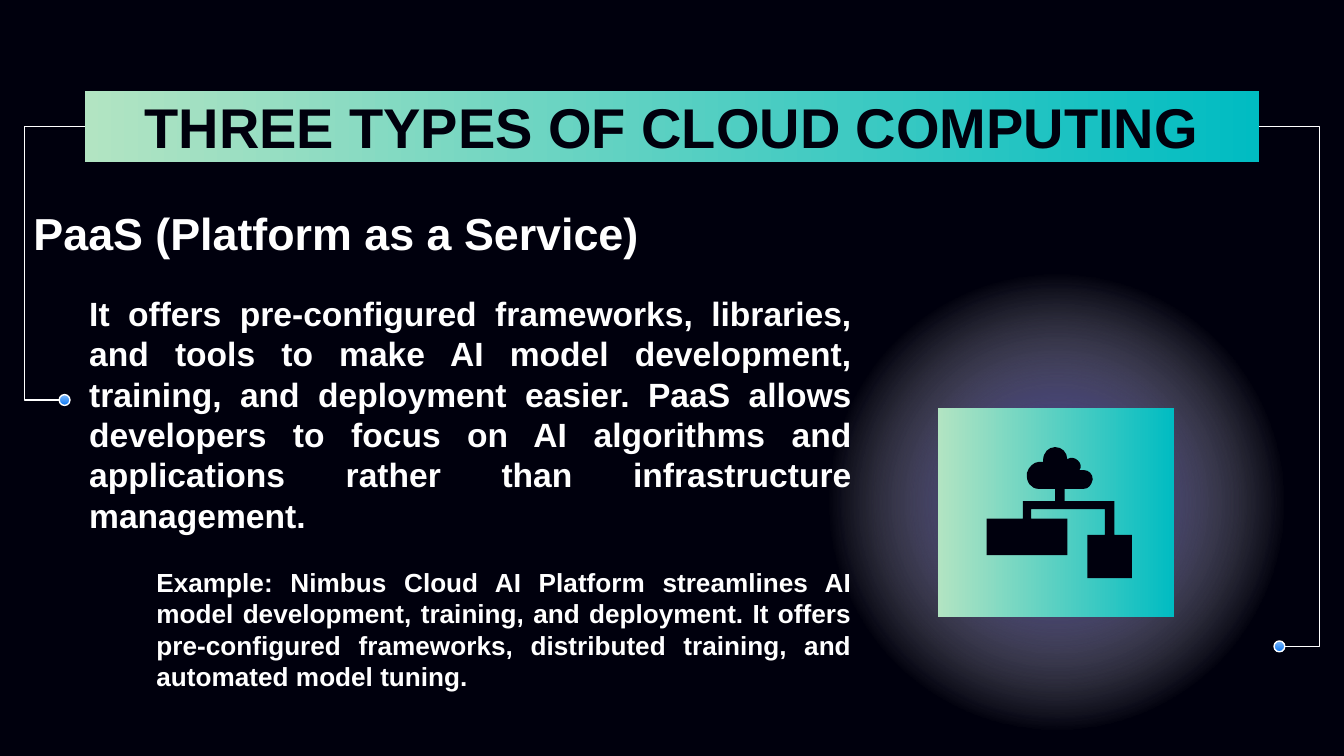
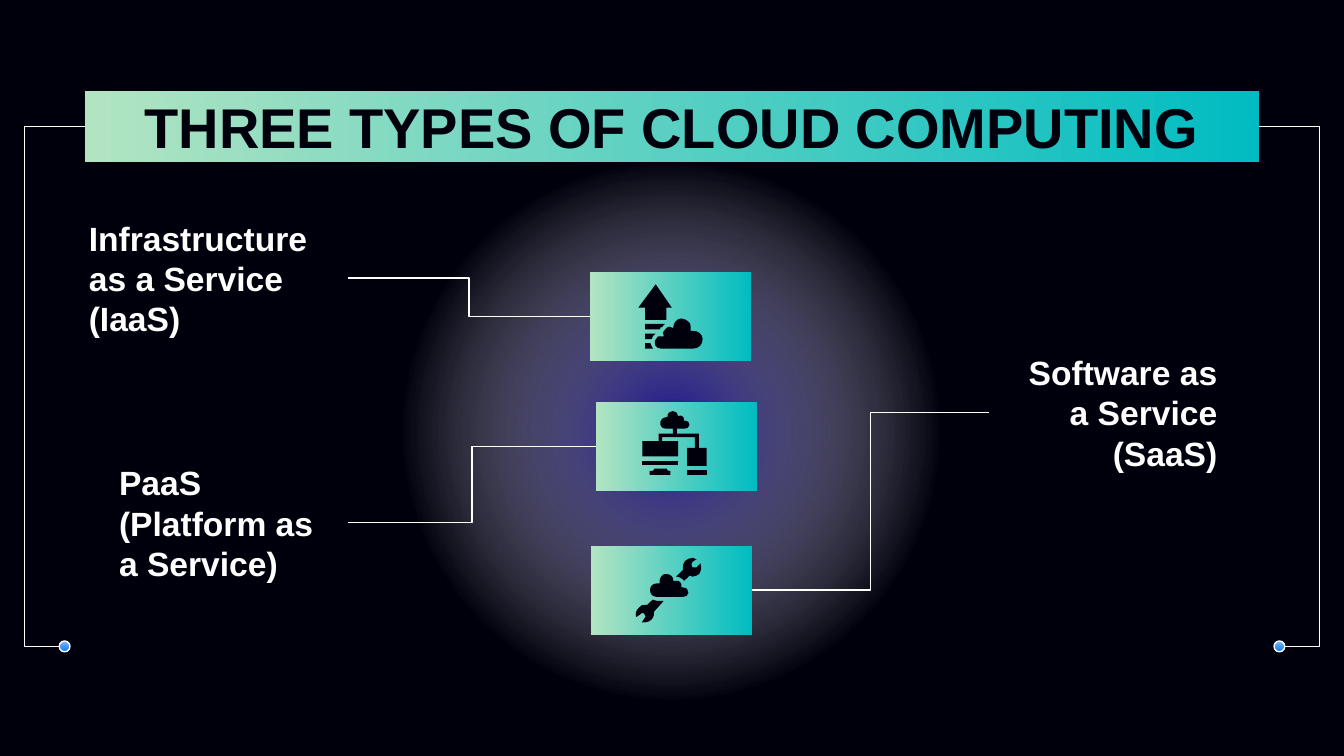
"""Builds two slides on the three types of cloud computing."""
from dataclasses import dataclass
from typing import NamedTuple

from pptx import Presentation
from pptx.dml.color import RGBColor as Rgb
from pptx.enum.shapes import MSO_CONNECTOR as Link, MSO_SHAPE as Preset
from pptx.enum.text import MSO_ANCHOR as Anchor, PP_ALIGN as Align
from pptx.oxml import parse_xml
from pptx.oxml.ns import nsdecls, qn
from pptx.util import Pt


class Box(NamedTuple):
    left: float
    top: float
    width: float
    height: float

    @property
    def right(self) -> float:
        return self.left + self.width

    @property
    def middle(self) -> float:
        return self.top + self.height / 2

    def lengths(self) -> tuple:
        return tuple(Pt(value) for value in self)


class Point(NamedTuple):
    x: float
    y: float


@dataclass(frozen=True)
class Theme:
    font: str = "Arial"
    night: str = "00000D"
    white: str = "FFFFFF"
    indigo: str = "170F8D"
    band: tuple = ("00BCC2", "B2E4C2")
    dot: tuple = ("82BCFE", "0C77F1")
    title_size: int = 30
    heading_size: int = 24
    text_size: int = 18
    example_size: int = 14
    line_width: float = 0.75


@dataclass(frozen=True)
class Paragraph:
    text: str
    size: int
    color: str
    align: Align = Align.LEFT
    indent: float = 0
    space_before: float = 0


@dataclass(frozen=True)
class Service:
    name: str
    label: Box
    card: Box
    icon: tuple
    icon_box: Box
    align: Align = Align.LEFT


THEME = Theme()
WIDTH, HEIGHT = 720, 405
BAND = Box(45.4, 48.8, 629.2, 38)
TITLE = Box(56.4, 42.5, 607, 45.4)
DOT_LEFT, DOT_SIZE, FRAME_BEND = 31.7, 5.8, -1.36
LOW_END, HIGH_END = 346.3, 214.3
ROOMY, SNUG = (7.2, 7.2), (7.2, 3.6)

NETWORK = (
    "785,333 780,333,776,337,776,343 776,344 773,344 769,344,765,348,764,352 "
    "763,359,767,364,773,364 785,364 785,373 761,373 761,386 734,386 734,413 "
    "794,413 794,386 767,386 767,379 822,379 822,398 809,398 809,430 842,430 "
    "842,398 829,398 829,373 792,373 792,364 806,364 810,364,812,361,813,357 "
    "813,353,810,350,806,350 803,350 805,348,804,345,802,343 "
    "801,342,799,341,798,341 797,341,795,341,794,342 794,337,790,333,785,333"
)
DEVICES = (
    NETWORK,
    "754,435 754,437,752,439,750,439 746,439 746,446 781,446 781,439 "
    "779,439 777,439,775,437,775,435",
    "734,421 734,428 794,428 794,421",
    "809,437 809,446 842,446 842,437",
)
UPLOAD = (
    "480,255 480,259 486,259 485,258,485,257,484,255",
    "480,248 480,252 485,252 485,250,487,249,488,248",
    "488,212 475,229 480,229 480,238 496,238 496,229 500,229",
    "480,241 480,245 491,245 491,244,492,243,493,243 494,242,494,241,495,241",
    "507,237 504,237,501,240,501,244 500,244,499,243,498,243 "
    "497,243,496,244,495,245 493,246,493,248,494,250 491,250 "
    "490,250,489,250,489,251 485,255,488,259,492,259 516,259 "
    "520,259,523,256,523,252 523,249,520,246,516,246 514,246 514,243 "
    "514,242,514,240,513,240 511,238,509,237,507,237",
)
WRENCH = (
    "515,415 513,415,511,416,510,417 508,419,508,421,508,424 503,429 504,429 "
    "505,429,507,430,508,431 508,431,509,432,509,432 513,428 "
    "514,429,514,429,515,429 517,429,518,428,520,427 521,425,522,422,521,420 "
    "521,419 518,422 518,422,517,422,517,422 516,422,516,422,515,422 "
    "514,421,514,419,515,418 518,416 517,416 517,415,516,415,515,415",
    "486,446 482,450 481,450,481,450,480,450 479,450,477,450,476,452 "
    "474,454,473,456,474,459 477,457 477,456,478,456,478,456 "
    "479,456,480,456,480,457 481,458,481,459,480,460 478,463 "
    "479,463,479,463,480,463 482,463,484,462,485,461 487,459,487,457,487,455 "
    "494,447 489,447 488,447,487,447,486,446",
    "496,427 496,427,496,427,495,427 493,427,491,430,491,432 491,434 489,434 "
    "486,434,484,436,484,439 484,442,486,444,489,444 508,444 "
    "510,444,512,443,512,441 512,439,511,437,508,437 507,437 "
    "507,435,507,434,506,433 505,432,504,432,504,432 503,432,502,432,501,432 "
    "501,429,499,427,496,427",
)

SERVICES = (
    Service("Infrastructure as a Service (IaaS)", Box(40.5, 130.6, 146, 36.7),
            Box(316.1, 145.8, 86.4, 47.6), UPLOAD, Box(342, 152.3, 34.4, 34.5)),
    Service("PaaS (Platform as a Service)", Box(56.7, 261.6, 129.8, 36.7),
            Box(319.2, 215.4, 86.4, 47.6), DEVICES, Box(344.2, 220.2, 34.4, 34.3)),
    Service("Software as a Service (SaaS)", Box(529.8, 202.6, 129.4, 36.7),
            Box(316.6, 292.4, 86.4, 47.6), WRENCH, Box(340.9, 298.9, 34.5, 34.6),
            Align.RIGHT),
)


def rgb(color: str) -> Rgb:
    return Rgb.from_string(color)


def add_preset(shapes, preset: Preset, box: Box):
    shape = shapes.add_shape(preset, *box.lengths())
    shape.shadow.inherit = False
    shape.line.fill.background()
    return shape


def fill_gradient(shape, colors: tuple, angle: int) -> None:
    shape.fill.gradient()
    shape.fill.gradient_angle = angle
    for stop, color in zip(shape.fill.gradient_stops, colors):
        stop.color.rgb = rgb(color)


def add_card(page, box: Box) -> None:
    fill_gradient(add_preset(page.shapes, Preset.RECTANGLE, box), THEME.band, 180)


def add_glow(page, box: Box) -> None:
    glow = add_preset(page.shapes, Preset.OVAL, box)
    glow.fill.background()
    clear = f'<a:srgbClr val="{THEME.white}"><a:alpha val="0"/></a:srgbClr>'
    gradient = parse_xml(
        f'<a:gradFill {nsdecls("a")}><a:gsLst>'
        f'<a:gs pos="0"><a:srgbClr val="{THEME.indigo}"/></a:gs>'
        f'<a:gs pos="61000">{clear}</a:gs><a:gs pos="100000">{clear}</a:gs></a:gsLst>'
        '<a:path path="circle"><a:fillToRect l="50000" t="50000" r="50000" b="50000"/>'
        '</a:path></a:gradFill>')
    properties = glow._element.spPr
    properties.replace(properties.find(qn("a:noFill")), gradient)


def add_elbow(shapes, start: Point, end: Point, bend: float = 0.5) -> None:
    elbow = shapes.add_connector(Link.ELBOW, *(Pt(value) for value in (*start, *end)))
    elbow.line.color.rgb = rgb(THEME.white)
    elbow.line.width = Pt(THEME.line_width)
    properties = elbow._element.spPr
    properties.append(parse_xml(f'<a:effectLst {nsdecls("a")}/>'))
    if bend != 0.5:
        frame = properties.find(qn("a:xfrm"))
        frame.rot, frame.flipH, frame.flipV = 180, not frame.flipH, not frame.flipV
        geometry = properties.find(qn("a:prstGeom"))
        for old in geometry.findall(qn("a:avLst")):
            geometry.remove(old)
        geometry.append(parse_xml(
            f'<a:avLst {nsdecls("a")}>'
            f'<a:gd name="adj1" fmla="val {round(bend * 100000)}"/></a:avLst>'))


def add_frame_line(page, end: float, mirrored: bool) -> None:
    def across(x: float) -> float:
        return WIDTH - x if mirrored else x

    shapes = page.shapes.add_group_shape().shapes
    dot_left = across(DOT_LEFT) - (DOT_SIZE if mirrored else 0)
    dot = add_preset(shapes, Preset.OVAL,
                     Box(dot_left, end - DOT_SIZE / 2, DOT_SIZE, DOT_SIZE))
    fill_gradient(dot, THEME.dot, 270)
    dot.line.color.rgb = rgb(THEME.white)
    dot.line.width = Pt(THEME.line_width)
    add_elbow(shapes, Point(across(DOT_LEFT), end),
              Point(across(BAND.left), BAND.middle), FRAME_BEND)


def add_text(page, box: Box, paragraphs: tuple, inset: tuple = SNUG,
             anchor: Anchor = Anchor.TOP) -> None:
    frame = page.shapes.add_textbox(*box.lengths()).text_frame
    frame.word_wrap = True
    frame.vertical_anchor = anchor
    frame.margin_left = frame.margin_right = Pt(inset[0])
    frame.margin_top = frame.margin_bottom = Pt(inset[1])
    for index, item in enumerate(paragraphs):
        para = frame.add_paragraph() if index else frame.paragraphs[0]
        para.alignment = item.align
        para.space_before = Pt(item.space_before)
        para._p.get_or_add_pPr().set("marL", str(Pt(item.indent)))
        span = para.add_run()
        span.text = item.text
        span.font.name = THEME.font
        span.font.size = Pt(item.size)
        span.font.bold = True
        span.font.color.rgb = rgb(item.color)


def trace(outline: str) -> list[list[Point]]:
    """Splits an outline into steps of one point (line) or three points (curve)."""
    steps = []
    for step in outline.split():
        numbers = [float(number) for number in step.split(",")]
        steps.append([Point(x, y) for x, y in zip(numbers[::2], numbers[1::2])])
    return steps


def bend_curves(shape, steps: list[list[Point]]) -> None:
    """Joins each three line segments of a curve step into one cubic curve."""
    outline = next(shape._element.iter(qn("a:path")))
    segments = iter(outline.findall(qn("a:lnTo")))
    for step in steps[1:]:
        segment = next(segments)
        if len(step) == 3:
            segment.tag = qn("a:cubicBezTo")
            for _ in range(2):
                extra = next(segments)
                segment.append(extra[0])
                outline.remove(extra)


def add_icon(page, outlines: tuple, box: Box) -> None:
    traces = [trace(outline) for outline in outlines]
    xs, ys = zip(*(step[-1] for steps in traces for step in steps))
    scale_x = box.width / (max(xs) - min(xs))
    scale_y = box.height / (max(ys) - min(ys))
    shapes = page.shapes.add_group_shape().shapes if len(traces) > 1 else page.shapes
    for steps in traces:
        placed = [(Pt(box.left + (x - min(xs)) * scale_x),
                   Pt(box.top + (y - min(ys)) * scale_y))
                  for step in steps for x, y in step]
        builder = shapes.build_freeform(*placed[0])
        builder.add_line_segments(placed[1:], close=False)
        part = builder.convert_to_shape()
        bend_curves(part, steps)
        next(part._element.iter(qn("a:path"))).append(
            parse_xml(f'<a:close {nsdecls("a")}/>'))
        part.shadow.inherit = False
        part.fill.solid()
        part.fill.fore_color.rgb = rgb(THEME.night)
        part.line.fill.background()


def add_page(deck, glow: Box, left_end: float):
    page = deck.slides.add_slide(deck.slide_layouts[6])
    page.background.fill.solid()
    page.background.fill.fore_color.rgb = rgb(THEME.night)
    add_glow(page, glow)
    add_card(page, BAND)
    add_frame_line(page, left_end, mirrored=False)
    add_frame_line(page, LOW_END, mirrored=True)
    add_text(page, TITLE, (Paragraph("THREE TYPES OF CLOUD COMPUTING", THEME.title_size,
                                     THEME.night, Align.CENTER),), ROOMY)
    return page


def build_platform_page(deck) -> None:
    page = add_page(deck, Box(419.2, 132.5, 293.8, 272.9), HIGH_END)
    add_card(page, Box(502.5, 218.4, 126.5, 112.2))
    add_text(page, Box(-10.8, 106.6, 360, 36),
             (Paragraph("PaaS (Platform as a Service)", THEME.heading_size,
                        THEME.white, Align.RIGHT),))
    add_icon(page, (NETWORK,), Box(528.6, 239.5, 77.7, 70.2))
    add_text(page, Box(-67.3, 153.4, 530.8, 234.7), (
        Paragraph("It offers pre-configured frameworks, libraries, and tools to make AI "
                  "model development, training, and deployment easier. PaaS allows "
                  "developers to focus on AI algorithms and applications rather than "
                  "infrastructure management.",
                  THEME.text_size, THEME.white, Align.JUSTIFY, 108),
        Paragraph("Example: Nimbus Cloud AI Platform streamlines AI model development, "
                  "training, and deployment. It offers pre-configured frameworks, "
                  "distributed training, and automated model tuning.",
                  THEME.example_size, THEME.white, Align.JUSTIFY, 144, 16.8)))


def build_overview_page(deck) -> None:
    page = add_page(deck, Box(187.2, 69.1, 344.6, 323.3), LOW_END)
    for service in SERVICES:
        label, card = service.label, service.card
        on_left = label.left < card.left
        add_text(page, label, (Paragraph(service.name, THEME.text_size, THEME.white,
                                         service.align),), ROOMY, Anchor.MIDDLE)
        add_elbow(page.shapes, Point(label.right if on_left else label.left, label.middle),
                  Point(card.left if on_left else card.right, card.middle))
        add_card(page, card)
        add_icon(page, service.icon, service.icon_box)


def main() -> None:
    deck = Presentation()
    deck.slide_width, deck.slide_height = Pt(WIDTH), Pt(HEIGHT)
    build_platform_page(deck)
    build_overview_page(deck)
    deck.save("out.pptx")


if __name__ == "__main__":
    main()
